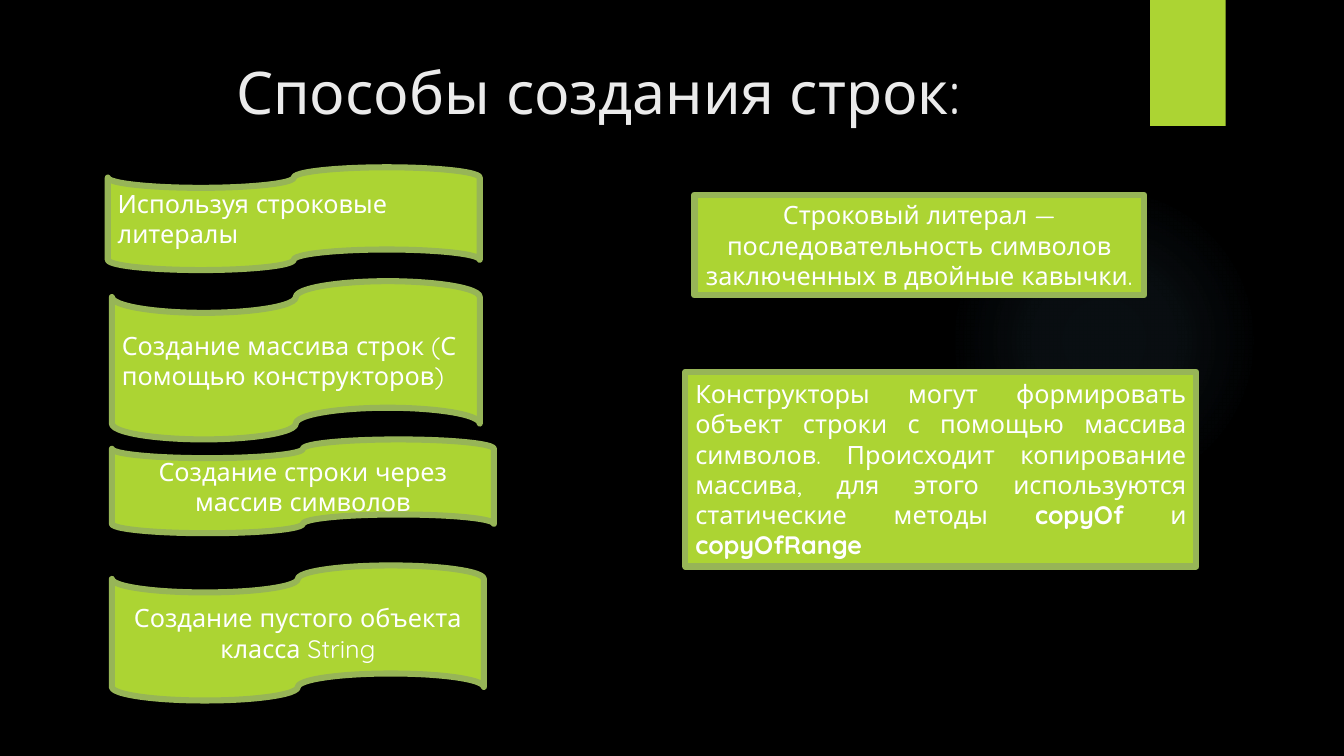
from lxml import etree
from pptx import Presentation
from pptx.dml.color import RGBColor
from pptx.enum.shapes import MSO_SHAPE as Shape
from pptx.enum.text import MSO_ANCHOR as Anchor, PP_ALIGN as Align
from pptx.oxml import parse_xml
from pptx.util import Pt

COLORS = {"background": "000000", "lime": "ACD433", "border": "97B557",
          "title": "EBEBEB", "text": "FFFFFF", "glow": "7AC4F0"}
FONT = "Quicksand"
DRAWING = "http://schemas.openxmlformats.org/drawingml/2006/main"

presentation = Presentation()
presentation.slide_width, presentation.slide_height = Pt(960), Pt(540)
slide = presentation.slides.add_slide(presentation.slide_layouts[5])
slide.background.fill.solid()
slide.background.fill.fore_color.rgb = RGBColor.from_string(COLORS["background"])


def add_block(kind, box):
    """Add a lime shape without outline or shadow; box is left, top, width, height."""
    shape = slide.shapes.add_shape(kind, *map(Pt, box))
    shape.shadow.inherit = False
    shape.fill.solid()
    shape.fill.fore_color.rgb = RGBColor.from_string(COLORS["lime"])
    shape.line.fill.background()
    return shape


def add_run(paragraph, text, size, color, bold=False):
    run = paragraph.add_run()
    run.text = text
    formats = {"name": FONT, "size": Pt(size), "bold": bold}
    for name, value in formats.items():
        setattr(run.font, name, value)
    run.font.color.rgb = RGBColor.from_string(COLORS[color])


# Decoration: soft radial glow and corner tab
glow = add_block(Shape.OVAL, (677.5, 131.8, 221.8, 221.8))
stops = "".join(
    f'<a:gs pos="{position * 1000}"><a:srgbClr val="{COLORS["glow"]}">'
    f'<a:alpha val="{opacity * 1000}"/></a:srgbClr></a:gs>'
    for position, opacity in ((0, 7), (36, 6), (69, 0), (100, 0)))
gradient = parse_xml(
    f'<a:gradFill xmlns:a="{DRAWING}" rotWithShape="1"><a:gsLst>{stops}</a:gsLst>'
    '<a:path path="circle"><a:fillToRect l="50000" t="50000" r="50000" b="50000"/>'
    '</a:path></a:gradFill>')
properties = glow.element.spPr
properties.replace(properties.find(etree.QName(DRAWING, "solidFill").text), gradient)
add_block(Shape.RECTANGLE, (821.5, 0, 54, 90))

# Title
title = slide.shapes.title
title_box = {"left": 51.1, "top": 36, "width": 740.9, "height": 110.2}
for name, value in title_box.items():
    setattr(title, name, Pt(value))
title.text_frame.vertical_anchor = Anchor.TOP
title_paragraph = title.text_frame.paragraphs[0]
title_paragraph.alignment = Align.CENTER
add_run(title_paragraph, " Способы создания строк:", 42, "title")

# Ways of creating strings on the left, explanations on the right
TAPE, CARD = Shape.FLOWCHART_PUNCHED_TAPE, Shape.RECTANGLE
blocks = [
    (TAPE, (79.9, 200.9, 262.8, 113), Align.LEFT,
     ["Создание массива строк (С помощью конструкторов)"]),
    (TAPE, (79.9, 403.9, 265.7, 96.5), Align.CENTER,
     ["Создание пустого объекта класса String"]),
    (TAPE, (79.9, 313.9, 272.9, 67), Align.CENTER,
     ["Создание строки через массив символов"]),
    (TAPE, (77, 119.5, 265.7, 73.4), Align.LEFT,
     ["Используя строковые литералы"]),
    (CARD, (496.1, 139, 321.1, 72), Align.CENTER,
     ["Строковый литерал — последовательность символов заключенных в двойные кавычки."]),
    (CARD, (489.6, 265.7, 365, 139), Align.JUSTIFY,
     ["Конструкторы могут формировать объект строки с помощью массива символов. "
      "Происходит копирование массива, для этого используются статические методы ",
      "copyOf", " и ", "copyOfRange"]),
]
for kind, box, alignment, texts in blocks:
    block = add_block(kind, box)
    block.line.color.rgb = RGBColor.from_string(COLORS["border"])
    block.line.width = Pt(4.33)
    block.text_frame.word_wrap = True
    block.text_frame.vertical_anchor = Anchor.MIDDLE
    paragraph = block.text_frame.paragraphs[0]
    paragraph.alignment = alignment
    for index, text in enumerate(texts):
        add_run(paragraph, text, 18, "text", bold=index % 2 == 1)

presentation.save("out.pptx")
